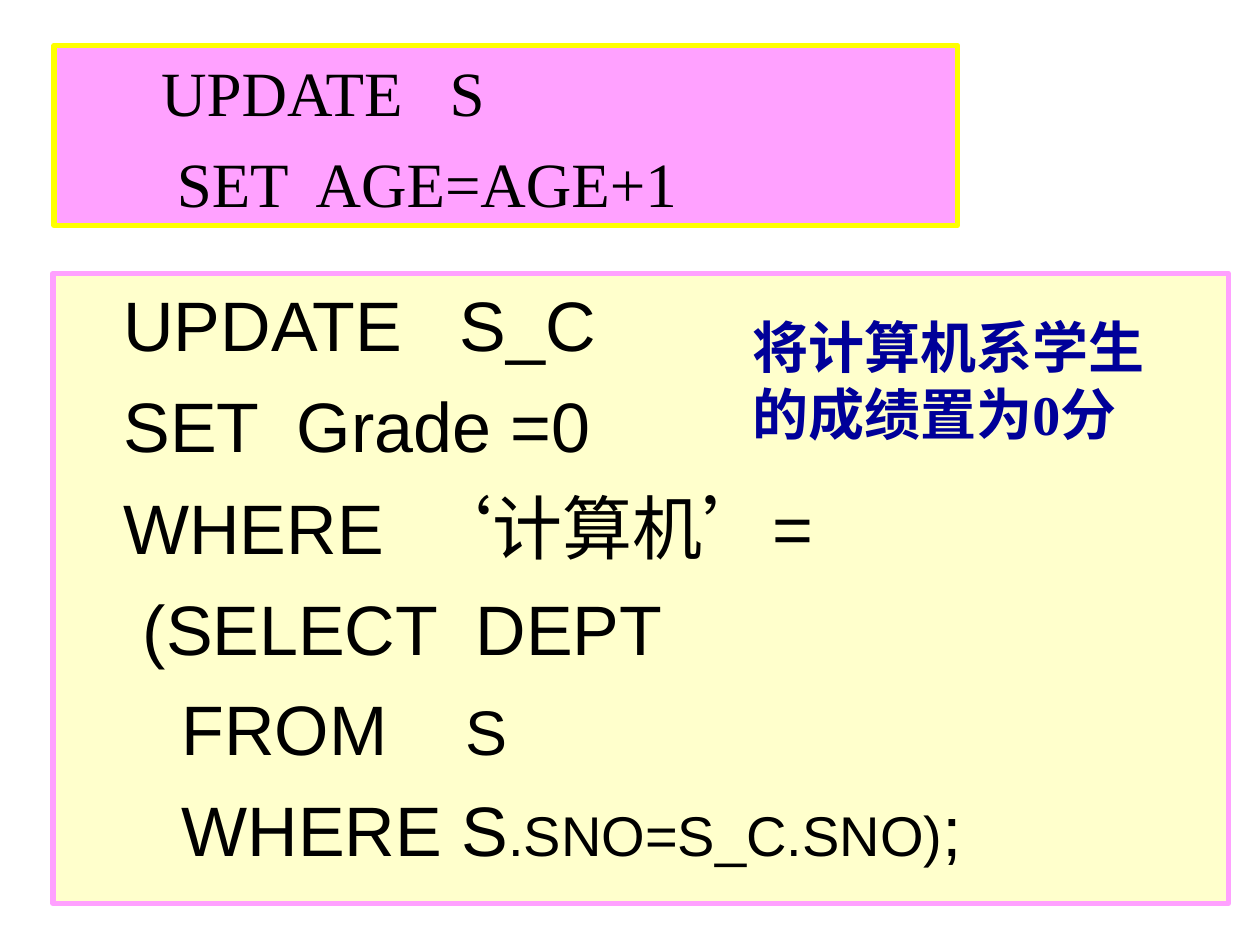
from dataclasses import dataclass
from typing import Optional

from pptx import Presentation
from pptx.dml.color import RGBColor
from pptx.enum.lang import MSO_LANGUAGE_ID as Language
from pptx.enum.shapes import MSO_SHAPE as Shape
from pptx.enum.text import MSO_ANCHOR as Anchor, PP_ALIGN as Align
from pptx.util import Inches, Pt


@dataclass
class Line:
    """One paragraph: (text, size) runs and the space before, in points."""
    runs: list[tuple[str, float]]
    space_before: float = 0


@dataclass
class Panel:
    left: float
    top: float
    width: float
    height: float
    lines: list[Line]
    font: str
    line_height: float
    text_color: str = "000000"
    bold: bool = False
    top_inset: float = 0.09
    fill: Optional[str] = None
    border: Optional[str] = None


def color(value: str) -> RGBColor:
    return RGBColor.from_string(value)


def set_format(target, values: dict) -> None:
    for name, value in values.items():
        setattr(target, name, value)


def write_lines(text_frame, panel: Panel) -> None:
    set_format(text_frame, {
        "word_wrap": True,
        "vertical_anchor": Anchor.TOP,
        "margin_left": Inches(0.1),
        "margin_right": Inches(0.1),
        "margin_top": Inches(panel.top_inset),
        "margin_bottom": Inches(0.05),
    })
    for index, line in enumerate(panel.lines):
        paragraph = text_frame.add_paragraph() if index else text_frame.paragraphs[0]
        set_format(paragraph, {
            "alignment": Align.LEFT,
            "space_before": Pt(line.space_before),
            "line_spacing": Pt(panel.line_height),
        })
        for text, size in line.runs:
            run = paragraph.add_run()
            run.text = text
            set_format(run.font, {
                "name": panel.font,
                "size": Pt(size),
                "bold": panel.bold,
                "language_id": Language.SIMPLIFIED_CHINESE,
            })
            run.font.color.rgb = color(panel.text_color)


def draw_panel(slide, panel: Panel) -> None:
    """Draw a bordered rectangle, or a plain text box when there is no fill."""
    place = [Inches(n) for n in (panel.left, panel.top, panel.width, panel.height)]
    if panel.fill:
        shape = slide.shapes.add_shape(Shape.RECTANGLE, *place)
        shape.shadow.inherit = False
        shape.fill.solid()
        shape.fill.fore_color.rgb = color(panel.fill)
        shape.line.color.rgb = color(panel.border)
        shape.line.width = Pt(3)
    else:
        shape = slide.shapes.add_textbox(*place)
    write_lines(shape.text_frame, panel)


PANELS = [
    Panel(0.42, 2.17, 9.33, 5, [
        Line([("   UPDATE   S_C", 40)]),
        Line([("   SET  Grade =0", 40)], 12),
        Line([("   WHERE  ‘计算机’=", 40)], 12),
        Line([("    (SELECT  DEPT", 40)], 12),
        Line([("      FROM    ", 40), ("S", 36)], 11),
        Line([("      WHERE S", 40), (".SNO=S_C.SNO)", 32), (";", 40)], 12),
    ], font="Arial", line_height=46, fill="FFFFCC", border="FFA1FF"),
    Panel(0.43, 0.36, 7.17, 1.43, [
        Line([("      UPDATE   S", 36)]),
        Line([("       SET  AGE=AGE+1", 36)], 10.5),
    ], font="Times New Roman", line_height=41.4, fill="FFA1FF", border="FFFF00"),
    Panel(5.87, 2.41, 3.62, 1.17, [
        Line([("将计算机系学生的成绩置为0分", 32)]),
    ], font="Times New Roman", line_height=38.3, text_color="000099",
        bold=True, top_inset=0.07),
]


def main() -> None:
    presentation = Presentation()
    presentation.slide_width = Inches(10)
    presentation.slide_height = Inches(7.5)
    slide = presentation.slides.add_slide(presentation.slide_layouts[6])
    for panel in PANELS:
        draw_panel(slide, panel)
    presentation.save("out.pptx")


if __name__ == "__main__":
    main()
